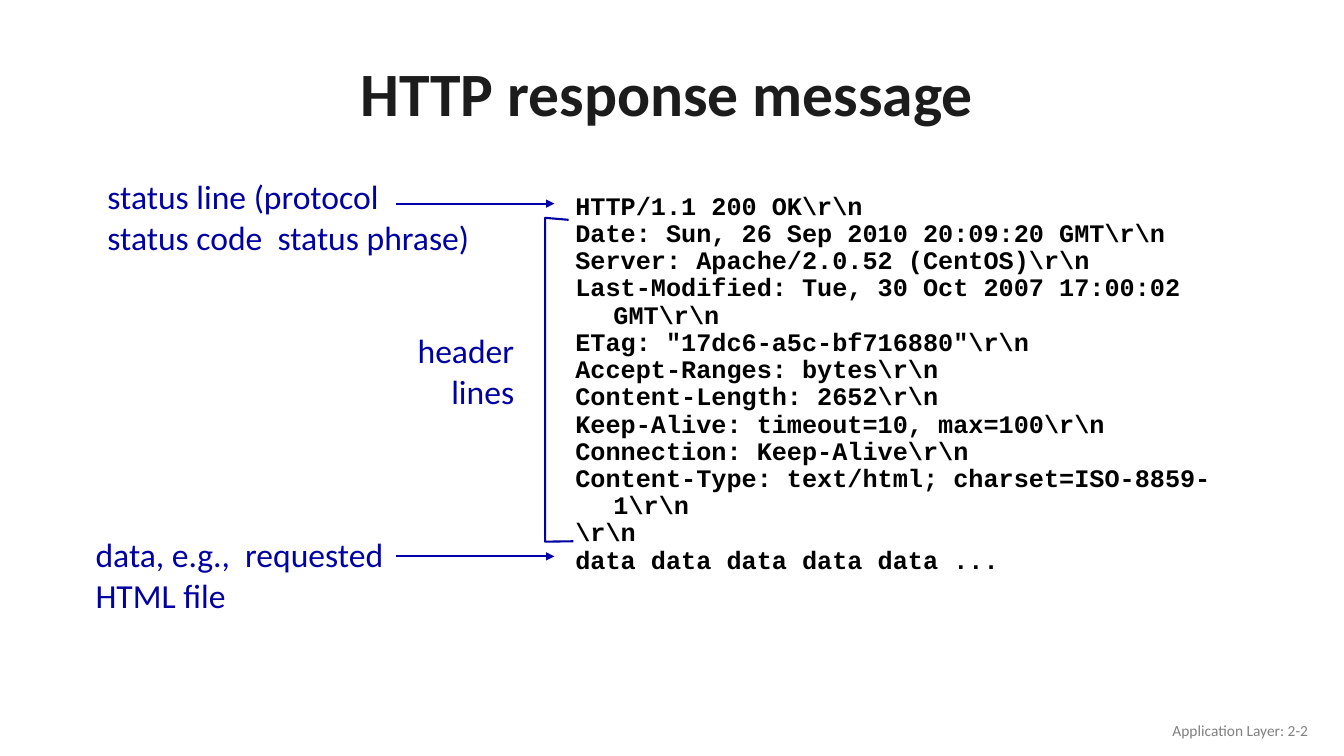
from lxml.etree import SubElement
from pptx import Presentation
from pptx.dml.color import RGBColor
from pptx.enum.shapes import MSO_CONNECTOR
from pptx.enum.text import MSO_ANCHOR, PP_ALIGN
from pptx.oxml.ns import qn
from pptx.util import Cm, Pt

INK = RGBColor(0x1C, 0x1C, 0x1C)
BLACK = RGBColor(0, 0, 0)
GREY = RGBColor(0x80, 0x80, 0x80)
NAVY = RGBColor(0, 0, 0xA3)
BLUE = RGBColor(0, 0, 0xA8)

CODE = r"""HTTP/1.1 200 OK\r\n
Date: Sun, 26 Sep 2010 20:09:20 GMT\r\n
Server: Apache/2.0.52 (CentOS)\r\n
Last-Modified: Tue, 30 Oct 2007 17:00:02 GMT\r\n
ETag: "17dc6-a5c-bf716880"\r\n
Accept-Ranges: bytes\r\n
Content-Length: 2652\r\n
Keep-Alive: timeout=10, max=100\r\n
Connection: Keep-Alive\r\n
Content-Type: text/html; charset=ISO-8859-1\r\n
\r\n
data data data data data ...""".splitlines()


class Board:
    font = "Calibri"
    mono = "Courier New"
    width = Pt(1.5)

    def __init__(self, slide):
        self.shapes = slide.shapes

    def text(self, area, lines, size, color, font=font, bold=False,
             align=PP_ALIGN.LEFT, anchor=MSO_ANCHOR.TOP, wrap=True,
             space=None, hang=None):
        frame = self.shapes.add_textbox(*map(Cm, area)).text_frame
        frame.word_wrap = wrap
        frame.vertical_anchor = anchor
        for index, line in enumerate(lines):
            para = frame.add_paragraph() if index else frame.paragraphs[0]
            para.alignment = align
            para.line_spacing = space
            if hang:
                props = para._p.get_or_add_pPr()
                props.set("marL", str(Cm(hang)))
                props.set("indent", str(-Cm(hang)))
            run = para.add_run()
            run.text = line
            run.font.name = font
            run.font.size = Pt(size)
            run.font.bold = bold
            run.font.color.rgb = color

    def label(self, area, lines, **style):
        self.text(area, lines, 24, NAVY, **style)

    def code(self, area, lines):
        self.text(area, lines, 18, BLACK, font=self.mono, bold=True,
                  space=0.9, hang=0.96)

    def stroke(self, line, color):
        line.color.rgb = color
        line.width = self.width

    def arrow(self, left, right, y):
        arrow = self.shapes.add_connector(
            MSO_CONNECTOR.STRAIGHT, Cm(left), Cm(y), Cm(right), Cm(y))
        self.stroke(arrow.line, BLUE)
        SubElement(arrow.line._get_or_add_ln(), qn("a:tailEnd"), type="triangle")
        SubElement(arrow._element.spPr, qn("a:effectLst"))

    def bracket(self, points):
        start, *rest = [(Cm(x), Cm(y)) for x, y in points]
        path = self.shapes.build_freeform(*start)
        path.add_line_segments(rest, close=False)
        shape = path.convert_to_shape()
        shape.shadow.inherit = False
        shape.fill.background()
        self.stroke(shape.line, NAVY)


def main():
    deck = Presentation()
    deck.slide_width, deck.slide_height = Cm(33.87), Cm(19.05)
    board = Board(deck.slides.add_slide(deck.slide_layouts[6]))

    board.text((2.21, 1.19, 29.21, 2.49), ["HTTP response message"], 44, INK,
               bold=True, align=PP_ALIGN.CENTER, anchor=MSO_ANCHOR.MIDDLE,
               space=0.9)
    board.text((25.6, 17.9, 7.62, 1.02), ["Application Layer: 2-2"], 11, GREY,
               align=PP_ALIGN.RIGHT, anchor=MSO_ANCHOR.MIDDLE)
    board.label((2.46, 4.32, 11.28, 2.31),
                ["status line (protocol", "status code  status phrase)"])
    board.bracket([(14.33, 5.54), (13.74, 5.49), (13.74, 13.65), (14.45, 13.64)])
    board.label((10.24, 8.2, 2.97, 2.31), ["header", "lines"],
                align=PP_ALIGN.RIGHT, wrap=False)
    board.label((2.16, 13.34, 10, 2.31), ["data, e.g.,  requested", "HTML file"])
    board.code((14.25, 4.75, 17.53, 9.88), CODE)
    for y in (5.13, 14.02):
        board.arrow(9.98, 13.97, y)

    deck.save("out.pptx")


if __name__ == "__main__":
    main()
